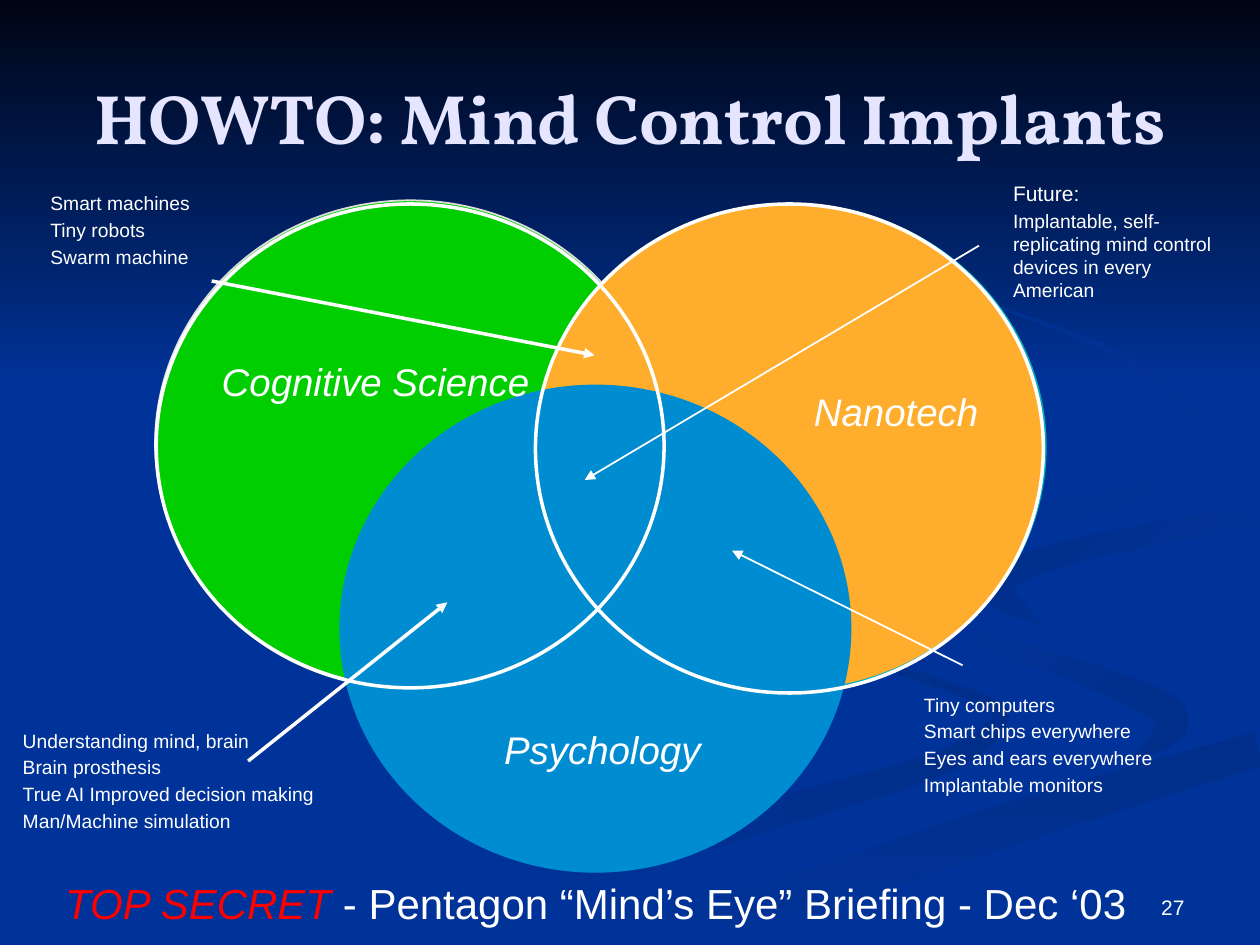
from dataclasses import dataclass
from math import hypot

from lxml import etree
from pptx import Presentation
from pptx.dml.color import RGBColor
from pptx.enum.shapes import MSO_CONNECTOR, MSO_SHAPE
from pptx.enum.text import MSO_ANCHOR, PP_ALIGN
from pptx.oxml.ns import qn
from pptx.util import Pt


@dataclass(frozen=True)
class Theme:
    background: str = "003399"
    night: str = "000514"
    swirl: str = "002E8A"
    title: str = "E5E5FF"
    text: str = "FFFFFF"
    alert: str = "FF0000"
    green: str = "00CE00"
    green_edge: str = "DCDCDC"
    orange: str = "FFAD2C"
    orange_edge: str = "00B0BC"
    blue: str = "008CD0"
    title_font: str = "Vollkorn"
    body_font: str = "Arial"
    title_size: float = 40
    footer_size: float = 24
    label_size: float = 22
    heading_size: float = 12
    note_size: float = 11
    thin: float = 1
    thick: float = 2


def smooth(knots, steps=6):
    """Catmull-Rom curve through knots of (x, y, width)."""
    padded = [knots[0], *knots, knots[-1]]
    curve = []
    for quad in zip(padded, padded[1:], padded[2:], padded[3:]):
        for t in (step / steps for step in range(steps)):
            curve.append([
                b + (c - a) * t / 2 + (2 * a - 5 * b + 4 * c - d) * t ** 2 / 2
                + (3 * b - a - 3 * c + d) * t ** 3 / 2
                for a, b, c, d in zip(*quad)])
    return [*curve, knots[-1]]


def ribbon_outline(knots):
    """Offset the smooth centre line by half its width to both sides."""
    curve = smooth(knots)
    left_side, right_side = [], []
    for before, (x, y, width), after in zip([curve[0], *curve], curve, [*curve[1:], curve[-1]]):
        dx, dy = after[0] - before[0], after[1] - before[1]
        scale = width / 2 / hypot(dx, dy)
        left_side.append((x - dy * scale, y + dx * scale))
        right_side.append((x + dy * scale, y - dx * scale))
    return left_side + right_side[::-1]


class SlideBuilder:
    def __init__(self, slide, theme):
        self.slide = slide
        self.theme = theme
        fill = slide.background.fill
        fill.solid()
        fill.fore_color.rgb = RGBColor.from_string(theme.background)

    def gradient(self, shape, first, last, clockwise):
        shape.shadow.inherit = False
        shape.line.fill.background()
        shape.fill.gradient()
        shape.fill.gradient_angle = (360 - clockwise) % 360
        for stop, color, position in zip(shape.fill.gradient_stops, (first, last), (0, 1)):
            stop.color.rgb = RGBColor.from_string(color)
            stop.position = position

    def band(self, *box):
        shape = self.slide.shapes.add_shape(MSO_SHAPE.RECTANGLE, *map(Pt, box))
        self.gradient(shape, self.theme.night, self.theme.background, 90)

    def swirl(self, knots, clockwise, fade_in=False):
        colors = [self.theme.swirl, self.theme.background]
        if fade_in:
            colors.reverse()
        start, *rest = [(Pt(x), Pt(y)) for x, y in ribbon_outline(knots)]
        outline = self.slide.shapes.build_freeform(*start)
        outline.add_line_segments(rest, close=True)
        self.gradient(outline.convert_to_shape(), *colors, clockwise)

    def ellipse(self, box, line, weight, fill=None):
        shape = self.slide.shapes.add_shape(MSO_SHAPE.OVAL, *map(Pt, box))
        shape.shadow.inherit = False
        if fill:
            shape.fill.solid()
            shape.fill.fore_color.rgb = RGBColor.from_string(fill)
        else:
            shape.fill.background()
        shape.line.color.rgb = RGBColor.from_string(line)
        shape.line.width = Pt(weight)

    def arrow(self, start, end, weight):
        connector = self.slide.shapes.add_connector(
            MSO_CONNECTOR.STRAIGHT, *map(Pt, (*start, *end)))
        connector.line.color.rgb = RGBColor.from_string(self.theme.text)
        connector.line.width = Pt(weight)
        etree.SubElement(connector.line._get_or_add_ln(), qn("a:tailEnd"), type="triangle")
        etree.SubElement(connector._element.spPr, qn("a:effectLst"))

    def text(self, box, lines, size, color=None, font=None, bold=False, italic=False,
             align=PP_ALIGN.LEFT, anchor=MSO_ANCHOR.TOP, after=0, inset=(0, 0), wrap=True):
        frame = self.slide.shapes.add_textbox(*map(Pt, box)).text_frame
        frame.word_wrap = wrap
        frame.vertical_anchor = anchor
        frame.margin_left = frame.margin_right = Pt(inset[0])
        frame.margin_top = frame.margin_bottom = Pt(inset[1])
        for index, line in enumerate(lines):
            paragraph = frame.add_paragraph() if index else frame.paragraphs[0]
            paragraph.text = line
            paragraph.alignment = align
            paragraph.space_after = Pt(after)
            paragraph.font.name = font or self.theme.body_font
            paragraph.font.size = Pt(size)
            paragraph.font.bold = bold
            paragraph.font.italic = italic
            paragraph.font.color.rgb = RGBColor.from_string(color or self.theme.text)
        return frame.paragraphs

    def label(self, left, top, width, words):
        self.text((left, top, width, 26.6), [words], self.theme.label_size,
                  italic=True, after=4.1)

    def notes(self, left, top, width, lines):
        height = 15 * len(lines)
        return self.text((left, top, width, height), lines, self.theme.note_size, after=2)


def main():
    theme = Theme()
    presentation = Presentation()
    presentation.slide_width, presentation.slide_height = Pt(720), Pt(540)
    slide = presentation.slides.add_slide(presentation.slide_layouts[6])
    builder = SlideBuilder(slide, theme)
    padding = (7.2, 3.6)

    # Background: dark band, then swirls as centre-line knots (x, y, width)
    builder.band(0, 0, 720, 222)
    outer_hook = [(412, 336, 2), (450, 362, 4), (552, 396, 6), (571, 412, 10),
                  (535, 437, 14), (430, 468, 18), (310, 505, 24), (238, 539, 34)]
    inner_hook = [(521, 336, 1), (545, 360, 8), (612, 382, 12), (660, 402, 18),
                  (669, 416, 18), (646, 435, 1)]
    lower_sweep = [(386, 538, 34), (462, 511, 27), (580, 470, 24), (719, 428, 20)]
    upper_hook = [(719, 295, 13), (640, 309, 13), (585, 324, 15), (571, 338, 17),
                  (595, 357, 1)]
    crescent = [(572, 176, 1), (640, 203, 4), (685, 238, 6), (684, 264, 10),
                (640, 285, 13), (546, 301, 13), (425, 321, 14), (413, 339, 17), (445, 360, 1)]
    builder.swirl(outer_hook, 180)
    builder.swirl(inner_hook, 225)
    builder.swirl(lower_sweep, 90)
    builder.swirl(upper_hook, 225, fade_in=True)
    builder.swirl(crescent, 225, fade_in=True)

    # Title
    builder.text((36, 21.6, 648, 90), ["HOWTO: Mind Control Implants"], theme.title_size,
                 theme.title, theme.title_font, bold=True, align=PP_ALIGN.CENTER,
                 anchor=MSO_ANCHOR.MIDDLE, inset=padding)

    # Venn discs: same size, one colour each
    disc_size = (291.6, 277.9)
    for left, top, fill, edge in [(88.6, 114.5, theme.green, theme.green_edge),
                                  (306, 116.6, theme.orange, theme.orange_edge),
                                  (194.4, 220.3, theme.blue, theme.blue)]:
        builder.ellipse((left, top, *disc_size), edge, theme.thin, fill)

    # Disc labels
    builder.label(126.7, 204.5, 240.5, "Cognitive Science")
    builder.label(465.1, 221.8, 98.6, "Nanotech")
    builder.label(288, 414.7, 116.6, "Psychology")

    # Arrows from each note into its overlap
    for note_end, overlap, weight in [((141.8, 434.9), (255.6, 344.2), theme.thick),
                                      ((121, 160.6), (339.8, 203), theme.thick),
                                      ((559.4, 140.4), (334.1, 274.3), theme.thin),
                                      ((550.1, 380.2), (418.3, 314.6), theme.thin)]:
        builder.arrow(note_end, overlap, weight)

    # White outlines over the two upper discs
    for left, height in [(89.3, 276.5), (306, 279.4)]:
        builder.ellipse((left, 116.6, 290.2, height), theme.text, theme.thick)

    # Notes around the diagram
    builder.notes(28.8, 109.6, 97.9, ["Smart machines", "Tiny robots", "Swarm machine"])
    builder.notes(13, 416.5, 172.8, [
        "Understanding mind, brain", "Brain prosthesis",
        "True AI Improved decision making", "Man/Machine simulation"])
    builder.notes(528, 396, 169.9, [
        "Tiny computers", "Smart chips everywhere",
        "Eyes and ears everywhere", "Implantable monitors"])
    heading, _ = builder.notes(578.9, 103, 117.4, [
        "Future:", "Implantable, self-replicating mind control devices in every American"])
    heading.font.size = Pt(theme.heading_size)
    heading.space_after = Pt(2.2)

    # Footer and slide number
    footer, = builder.text((30.2, 498.2, 622.8, 36), ["TOP SECRET"], theme.footer_size,
                           inset=padding, wrap=False)
    secret = footer.runs[0]
    secret.font.italic = True
    secret.font.color.rgb = RGBColor.from_string(theme.alert)
    footer.add_run().text = " - Pentagon “Mind’s Eye” Briefing - Dec ‘03"
    builder.text((516.2, 491.8, 167.8, 37.4), ["27"], theme.heading_size,
                 align=PP_ALIGN.RIGHT, anchor=MSO_ANCHOR.BOTTOM, inset=padding)

    presentation.save("out.pptx")


if __name__ == "__main__":
    main()
